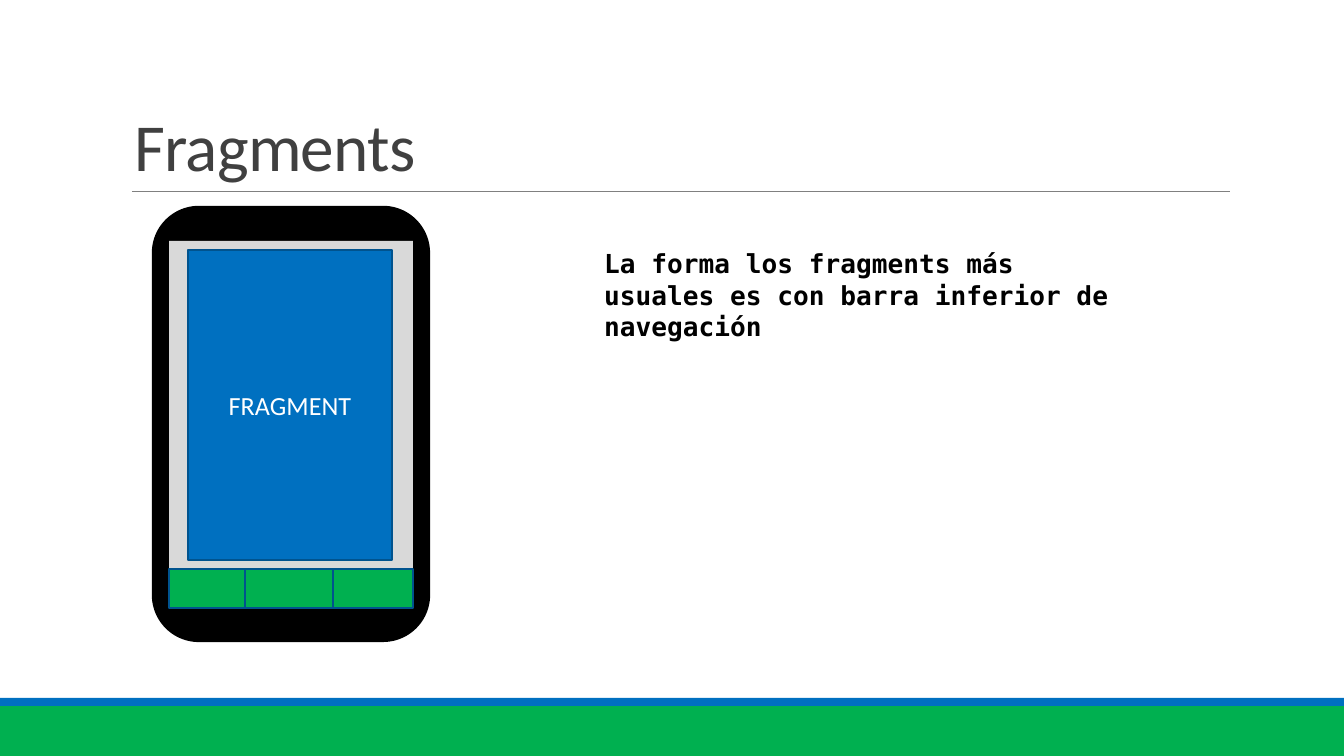
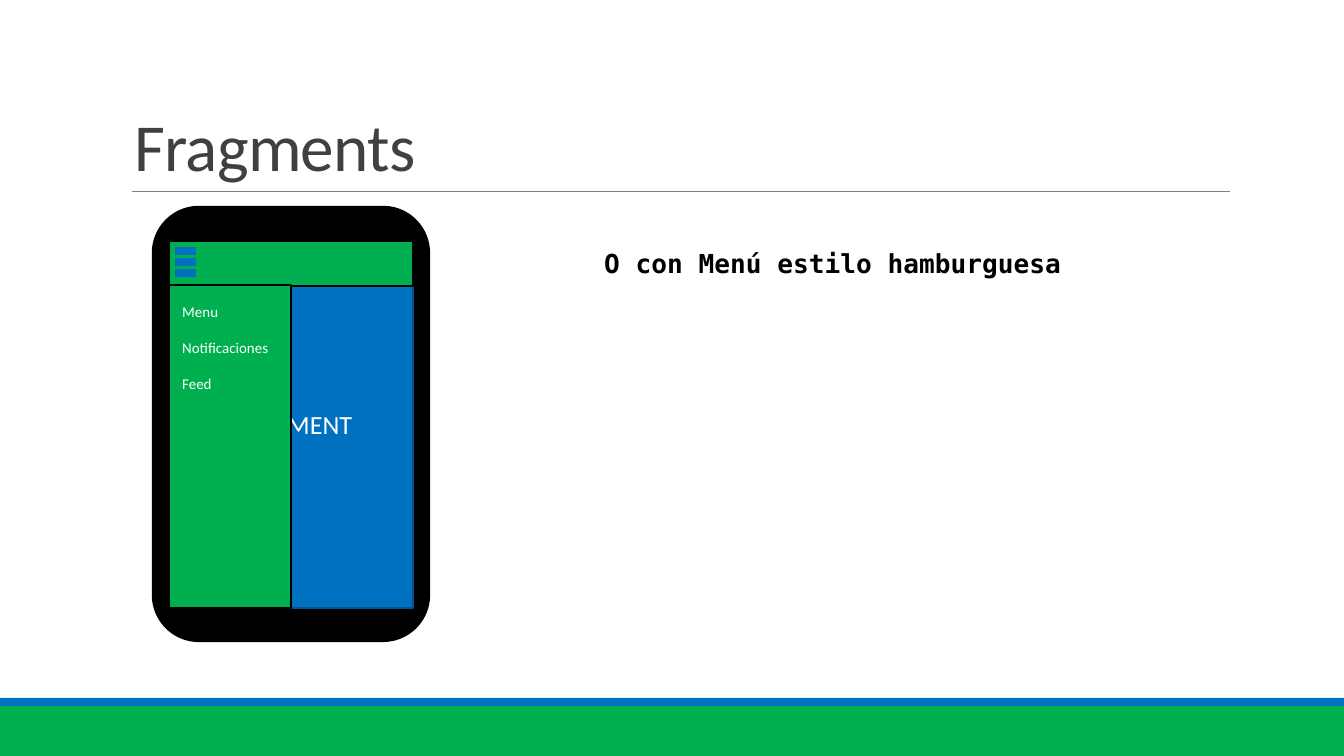
from pptx import Presentation
from pptx.dml.color import RGBColor
from pptx.enum.shapes import MSO_CONNECTOR, MSO_SHAPE
from pptx.enum.text import MSO_ANCHOR, PP_ALIGN
from pptx.oxml.ns import qn
from pptx.util import Pt
from lxml.etree import SubElement

SLIDE_W, SLIDE_H = 1344, 756
SCALE = 9144000 / SLIDE_W

GREEN, BLUE, NAVY = "00B050", "0070C0", "00538E"
BLACK, WHITE, GREY, SCREEN_GREY, TITLE_GREY = "000000", "FFFFFF", "808080", "D9D9D9", "404040"
SANS, MONO = "Calibri", "DejaVu Sans Mono"
OUTLINE = 1.25

TITLE = "Fragments"
FRAGMENT = "FRAGMENT"
BOTTOM_BAR_CAPTION = "La forma los fragments más usuales es con barra inferior de navegación"
HAMBURGER_CAPTION = "O con Menú estilo hamburguesa"
MENU_ITEMS = ["Menu", "Notificaciones", "Feed"]

BANDS = [(706, 50, GREEN), (698, 8, BLUE)]
TITLE_BOX = (121, 32, 1109, 160)
RULE = (132, 1230, 192)
PHONE = (153, 207, 276, 434)
SCREEN = (169, 241, 244, 367)
FRAGMENT_BOX = (188, 250, 204, 310)
NAV_HEIGHT = 39
NAV_TABS = [(0, 90), (76, 111), (164, 80)]
TOOLBAR_HEIGHT = 45
MENU_WIDTH = 122
ICON_LEFT, ICON_RIGHT, ICON_TOP, ICON_STEP, ICON_BARS = 175, 196, 251, 11, 3
CAPTION_LEFT, CAPTION_TOP, CAPTION_WIDTH = 591, 241, 552


def px(length):
    return round(length * SCALE)


def color(code):
    return RGBColor.from_string(code)


def style(paragraph, size, font, ink, bold=False):
    for run in paragraph.runs:
        run.font.size = Pt(size)
        run.font.name = font
        run.font.bold = bold
        run.font.color.rgb = color(ink)


def add_block(slide, box, fill, outline=None, kind=MSO_SHAPE.RECTANGLE):
    block = slide.shapes.add_shape(kind, *map(px, box))
    block.shadow.inherit = False
    block.fill.solid()
    block.fill.fore_color.rgb = color(fill)
    if outline:
        block.line.color.rgb = color(outline)
        block.line.width = Pt(OUTLINE)
    else:
        block.line.fill.background()
    return block


def add_rule(slide, left, right, y, ink, width):
    rule = slide.shapes.add_connector(MSO_CONNECTOR.STRAIGHT, px(left), px(y), px(right), px(y))
    rule.line.color.rgb = color(ink)
    rule.line.width = Pt(width)
    SubElement(rule._element.spPr, qn("a:effectLst"))


def add_text(slide, box, text, size, font, ink, bold=False):
    frame = slide.shapes.add_textbox(*map(px, box)).text_frame
    frame.word_wrap = True
    frame.text = text
    style(frame.paragraphs[0], size, font, ink, bold)
    return frame


def add_fragment(slide, box):
    frame = add_block(slide, box, BLUE, NAVY).text_frame
    frame.text = FRAGMENT
    frame.vertical_anchor = MSO_ANCHOR.MIDDLE
    frame.paragraphs[0].alignment = PP_ALIGN.CENTER
    style(frame.paragraphs[0], 14, SANS, WHITE)


def add_base(deck, caption, caption_height):
    slide = deck.slides.add_slide(deck.slide_layouts[6])
    for top, height, fill in BANDS:
        add_block(slide, (0, top, SLIDE_W, height), fill)
    add_rule(slide, *RULE, GREY, 0.5)
    title = add_text(slide, TITLE_BOX, TITLE, 36, SANS, TITLE_GREY)
    title.vertical_anchor = MSO_ANCHOR.BOTTOM
    heading = title.paragraphs[0]
    heading.line_spacing = 0.85
    heading.runs[0]._r.get_or_add_rPr().set("spc", "-40")
    add_block(slide, PHONE, BLACK, BLACK, MSO_SHAPE.ROUNDED_RECTANGLE)
    caption_box = (CAPTION_LEFT, CAPTION_TOP, CAPTION_WIDTH, caption_height)
    add_text(slide, caption_box, caption, 14, MONO, BLACK, True)
    return slide


def add_bottom_bar_slide(deck):
    slide = add_base(deck, BOTTOM_BAR_CAPTION, 77)
    left, top, width, height = SCREEN
    nav_top = top + height - NAV_HEIGHT
    add_block(slide, SCREEN, SCREEN_GREY)
    add_fragment(slide, FRAGMENT_BOX)
    add_block(slide, (left, nav_top, width, NAV_HEIGHT), GREEN)
    for offset, tab_width in NAV_TABS:
        add_block(slide, (left + offset, nav_top, tab_width, NAV_HEIGHT), GREEN, NAVY)


def add_hamburger_slide(deck):
    slide = add_base(deck, HAMBURGER_CAPTION, 46)
    left, top, width, height = SCREEN
    add_fragment(slide, SCREEN)
    add_block(slide, (left, top, width, TOOLBAR_HEIGHT), GREEN, BLACK)
    for bar in range(ICON_BARS):
        add_rule(slide, ICON_LEFT, ICON_RIGHT, ICON_TOP + bar * ICON_STEP, BLUE, 4.5)
    menu_top = top + TOOLBAR_HEIGHT - 1
    menu_box = (left, menu_top, MENU_WIDTH, top + height - menu_top)
    menu = add_block(slide, menu_box, GREEN, BLACK).text_frame
    menu.text = "\n".join(MENU_ITEMS)
    menu.vertical_anchor = MSO_ANCHOR.TOP
    menu.margin_top = px(18)
    for item in menu.paragraphs:
        item.alignment = PP_ALIGN.LEFT
        item.space_after = Pt(9.5)
        style(item, 8, SANS, WHITE)


def main():
    deck = Presentation()
    deck.slide_width, deck.slide_height = px(SLIDE_W), px(SLIDE_H)
    add_bottom_bar_slide(deck)
    add_hamburger_slide(deck)
    deck.save("out.pptx")


if __name__ == "__main__":
    main()
